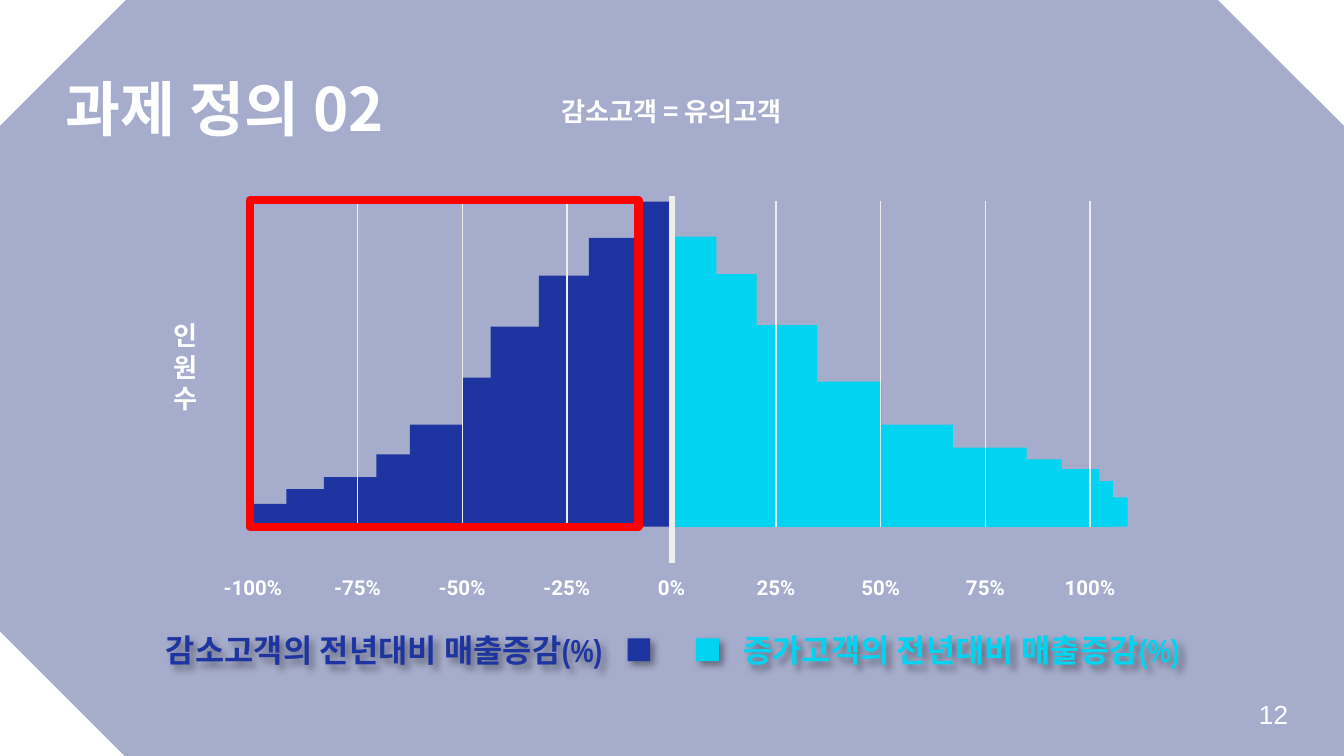
from dataclasses import dataclass

from lxml import etree
from pptx import Presentation
from pptx import util as u
from pptx.dml import color
from pptx.enum import shapes, text
from pptx.oxml import ns

Pt = u.Pt
Kind = shapes.MSO_SHAPE
Side = text.PP_ALIGN
Hold = text.MSO_ANCHOR


@dataclass(frozen=True)
class Theme:
    white: str = "FFFFFF"
    navy: str = "172879"
    blue: str = "1E35A1"
    cyan: str = "00D4F0"
    grid: str = "EEEEEE"
    red: str = "FF0000"
    title: float = 32
    legend: float = 17
    body: float = 14
    tick: float = 11
    korean: str = "Noto Sans CJK KR"
    narrow: str = "Arial Narrow"
    plain: str = "Arial"
    label: str = "Roboto"


@dataclass(frozen=True)
class Box:
    left: float
    top: float
    width: float
    height: float

    def spots(self) -> tuple:
        return tuple(Pt(n) for n in (self.left, self.top, self.width, self.height))


@dataclass(frozen=True)
class Style:
    face: str
    size: float
    hue: str
    bold: bool = True
    side: Side = Side.LEFT


@dataclass(frozen=True)
class Step:
    width: float
    top: float
    height: float


@dataclass(frozen=True)
class Key:
    words: str
    hue: str
    mark: Box
    area: Box
    side: Side


THEME = Theme()
AXIS = 360
TOP, BASE, FOOT = 107.5, 282.2, 301.7
START, GAP = 135.5, 56.06
FALLS = [
    Step(224.6, 270, 12.2), Step(206.6, 262.1, 15.8), Step(186.5, 255.6, 15.8),
    Step(158.4, 243.4, 15.8), Step(140.4, 227.5, 21.6), Step(112.3, 202.3, 28.1),
    Step(97.2, 175, 28.1), Step(71.3, 147.6, 34.6), Step(44.6, 127.4, 34.6),
    Step(20.2, 108, 34.6),
]
GAINS = [
    Step(244.1, 266.4, 15.8), Step(236.2, 257.8, 24.5), Step(229, 251.3, 10.1),
    Step(208.8, 246.2, 9.4), Step(190.1, 239.8, 9.4), Step(150.5, 227.5, 13.7),
    Step(112.3, 204.5, 25.2), Step(77.8, 174.2, 34.6), Step(45.4, 146.9, 34.6),
    Step(23.8, 126.7, 34.6),
]
KEYS = [
    Key("감소고객의 전년대비 매출증감(%)", THEME.blue, Box(336.2, 342, 12.2, 12.2),
        Box(32.4, 334.1, 297.4, 28.1), Side.RIGHT),
    Key("증가고객의 전년대비 매출증감(%)", THEME.cyan, Box(373, 342, 12.2, 12.2),
        Box(391, 334.1, 280.1, 28.1), Side.LEFT),
]


def rgb(code: str) -> color.RGBColor:
    return color.RGBColor.from_string(code)


def add_form(slide, box: Box, hue: str, kind=Kind.RECTANGLE):
    form = slide.shapes.add_shape(kind, *box.spots())
    form.shadow.inherit = False
    form.fill.solid()
    form.fill.fore_color.rgb = rgb(hue)
    form.line.fill.background()
    return form


def add_line(slide, x: float, top: float, end: float, width: float) -> None:
    line = slide.shapes.add_connector(
        shapes.MSO_CONNECTOR.STRAIGHT, Pt(x), Pt(top), Pt(x), Pt(end))
    line.line.color.rgb = rgb(THEME.grid)
    line.line.width = Pt(width)
    etree.SubElement(line._element.spPr, ns.qn("a:effectLst"))


def write(frame, lines: list[str], style: Style) -> None:
    for i, words in enumerate(lines):
        para = frame.add_paragraph() if i else frame.paragraphs[0]
        para.alignment = style.side
        run = para.add_run()
        run.text = words
        font = run.font
        font.size, font.bold, font.name = Pt(style.size), style.bold, style.face
        font.color.rgb = rgb(style.hue)
        east = etree.SubElement(run._r.get_or_add_rPr(), ns.qn("a:ea"))
        east.set("typeface", style.face)


def add_text(slide, box: Box, lines: list[str], style: Style, wrap: bool = True):
    area = slide.shapes.add_textbox(*box.spots())
    frame = area.text_frame
    frame.word_wrap = wrap
    frame.vertical_anchor = Hold.MIDDLE
    frame.margin_left = frame.margin_right = Pt(7.2)
    frame.margin_top = frame.margin_bottom = Pt(7.2)
    write(frame, lines, style)
    return area


def add_head(slide, shape, box: Box, words: str, style: Style) -> None:
    shape.left, shape.top, shape.width, shape.height = box.spots()
    frame = shape.text_frame
    frame.word_wrap = False
    frame.auto_size = text.MSO_AUTO_SIZE.SHAPE_TO_FIT_TEXT
    frame.vertical_anchor = Hold.TOP
    write(frame, [words], style)
    slide.shapes._spTree.append(shape._element)


def add_shade(shape) -> None:
    shape.shadow.inherit = False
    list_ = shape._element.spPr.find(ns.qn("a:effectLst"))
    shade = etree.SubElement(list_, ns.qn("a:outerShdw"), blurRad=str(Pt(4)),
                             dist=str(Pt(3)), dir="2700000", algn="bl", rotWithShape="0")
    tint = etree.SubElement(shade, ns.qn("a:srgbClr"), val="000000")
    etree.SubElement(tint, ns.qn("a:alpha"), val="40000")


def add_bars(slide, steps: list[Step], hue: str, sign: int) -> None:
    for step in steps:
        left = AXIS if sign > 0 else AXIS - step.width
        add_form(slide, Box(left, step.top, step.width, step.height), hue)


def add_grid(slide) -> None:
    style = Style(THEME.label, THEME.tick, THEME.white, side=Side.CENTER)
    for i in range(9):
        x, rate = START + i * GAP, (i - 4) * 25
        add_line(slide, x, TOP, BASE if rate else FOOT, 0.75)
        add_text(slide, Box(x - 24.1, 306.7, 48.2, 15.8), [f"{rate}%"], style, False)
    add_line(slide, AXIS, 105.1, FOOT, 3)


def add_key(slide, key: Key) -> None:
    add_shade(add_form(slide, key.mark, key.hue))
    style = Style(THEME.narrow, THEME.legend, key.hue, side=key.side)
    add_shade(add_text(slide, key.area, [key.words], style))


def main() -> None:
    deck = Presentation()
    deck.slide_width, deck.slide_height = Pt(720), Pt(405)
    slide = deck.slides.add_slide(deck.slide_layouts[5])

    back = add_form(slide, Box(0, 0, 720, 405), THEME.navy, Kind.SNIP_2_SAME_RECTANGLE)
    tint = back._element.spPr.find(".//" + ns.qn("a:srgbClr"))
    etree.SubElement(tint, ns.qn("a:alpha"), val="38000")

    add_bars(slide, GAINS, THEME.cyan, 1)
    add_bars(slide, FALLS, THEME.blue, -1)
    add_grid(slide)
    add_text(slide, Box(79.2, 188.6, 41, 15.8), list("인원수"),
             Style(THEME.plain, THEME.body, THEME.white, side=Side.CENTER))
    for key in KEYS:
        add_key(slide, key)

    frame = add_form(slide, Box(133.9, 107.3, 208.1, 175), THEME.red)
    frame.fill.background()
    frame.line.color.rgb = rgb(THEME.red)
    frame.line.width = Pt(4.5)

    add_text(slide, Box(667.4, 367.2, 43.2, 31), ["12"],
             Style(THEME.plain, THEME.body, THEME.white, False))
    add_head(slide, slide.shapes.title, Box(28.1, 34.6, 203.8, 46.1), "과제 정의 02",
             Style(THEME.korean, THEME.title, THEME.white))
    note = slide.shapes.add_textbox(0, 0, 0, 0)
    add_head(slide, note, Box(285.8, 47.5, 147.6, 24.5), "감소고객 = 유의고객",
             Style(THEME.korean, THEME.body, THEME.white, side=Side.CENTER))
    add_form(slide, Box(0, 338.4, 66.6, 66.6), THEME.white, Kind.RIGHT_TRIANGLE)
    deck.save("out.pptx")


if __name__ == "__main__":
    main()
